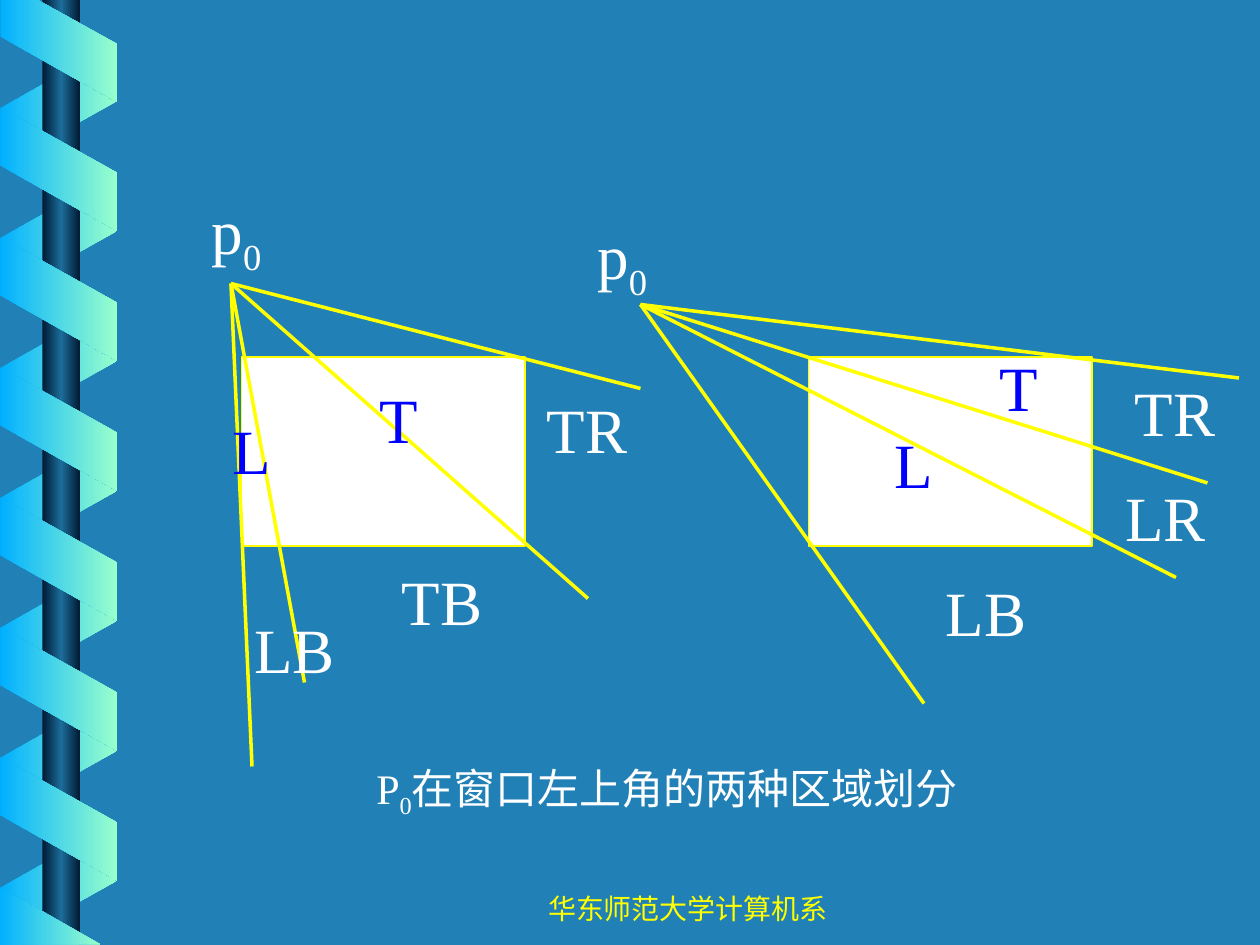
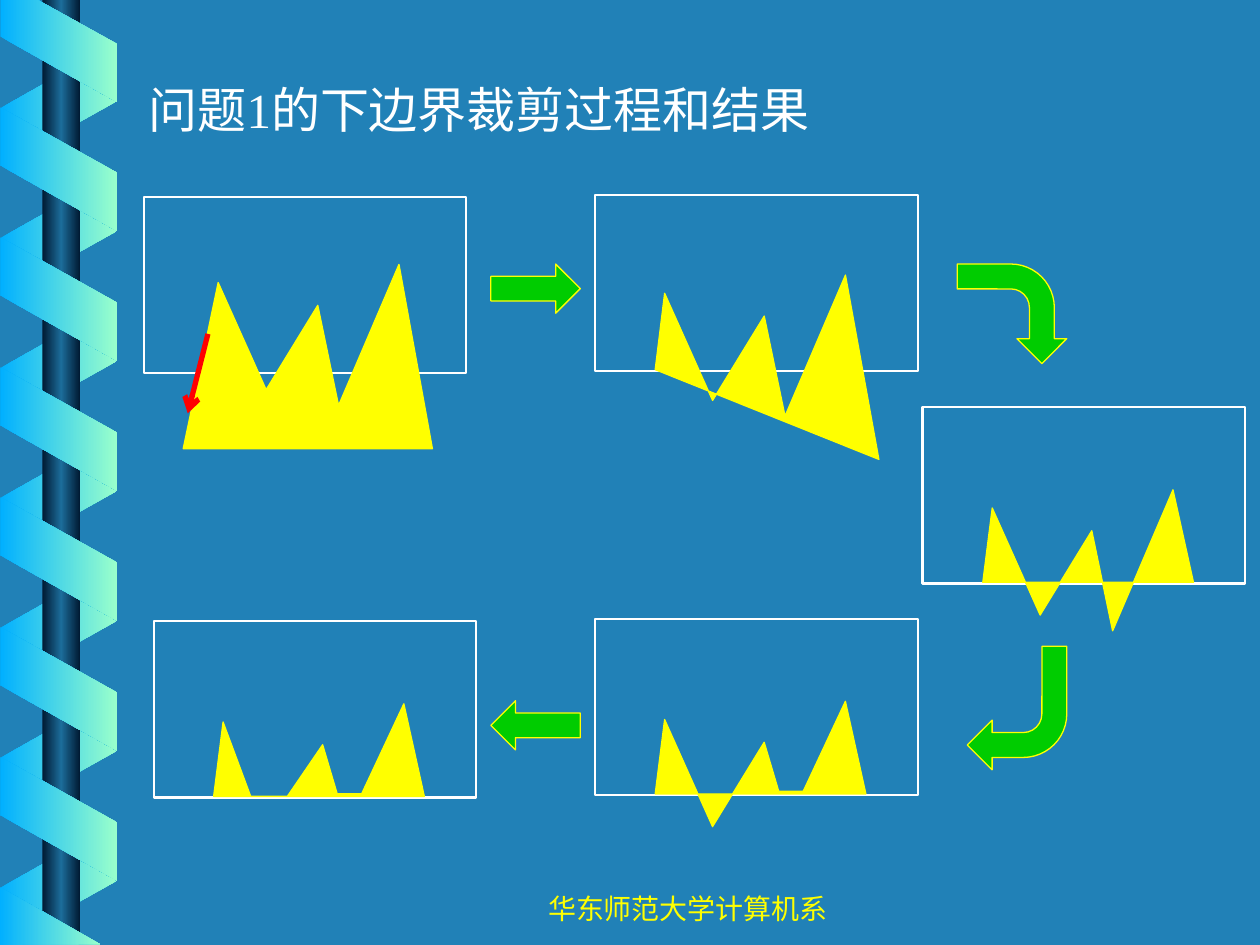
import copy
from dataclasses import dataclass

import pptx
import pptx.dml.color
import pptx.enum.shapes
import pptx.enum.text
import pptx.oxml
import pptx.oxml.ns
import pptx.util

Pt = pptx.util.Pt
MSO = pptx.enum.shapes.MSO_SHAPE
qn = pptx.oxml.ns.qn


@dataclass(frozen=True)
class Theme:
    background: str = "2181B7"
    white: str = "FFFFFF"
    yellow: str = "FFFF00"
    blue: str = "0000FF"
    green: str = "00CC00"
    red: str = "FF0000"
    ribbon: tuple = ("01B0FF", "99FFCC")
    pole: tuple = ("001932", "1C6D9A", "001932")
    latin: str = "Times New Roman"
    cjk: str = "Noto Sans CJK SC"
    footer: int = 16
    caption: int = 24
    title: int = 28
    label: int = 36


T = Theme()


def rgb(value):
    return pptx.dml.color.RGBColor.from_string(value)


def write(tf, text, size, color=T.white, font=T.latin, align="LEFT", wrap=False):
    tf.word_wrap = wrap
    tf.vertical_anchor = pptx.enum.text.MSO_ANCHOR.TOP
    if not wrap:
        tf.auto_size = pptx.enum.text.MSO_AUTO_SIZE.SHAPE_TO_FIT_TEXT
    p = tf.paragraphs[0]
    p.alignment = getattr(pptx.enum.text.PP_ALIGN, align)
    for i, part in enumerate(text.split("_")):
        r = p.add_run()
        r.text = part
        r.font.size = Pt(size)
        r.font.color.rgb = rgb(color)
        r.font.name = font
        rpr = r.font._element
        rpr.find(qn("a:latin")).addnext(
            rpr.makeelement(qn("a:ea"), {"typeface": T.cjk}))
        if i % 2:
            rpr.set("baseline", "-25000")


class Deck:
    def __init__(self):
        self.prs = pptx.Presentation()
        self.prs.slide_width, self.prs.slide_height = Pt(720), Pt(540)
        fill = self.prs.slide_master.background.fill
        fill.solid()
        fill.fore_color.rgb = rgb(T.background)
        self.s = None

    def slide(self, title=None):
        layout = self.prs.slide_layouts[5 if title else 6]
        self.s = self.prs.slides.add_slide(layout)
        self.text(240, 505.8, 306, 22.3, "华东师范大学计算机系", T.footer,
                  color=T.yellow, font=T.cjk, align="CENTER", wrap=True)
        if title:
            sp = self.s.shapes.title
            sp.left, sp.top, sp.width, sp.height = Pt(77.8), Pt(41.8), Pt(405.4), Pt(41)
            write(sp.text_frame, title, T.title)

    def text(self, x, y, w, h, text, size, **fmt):
        tb = self.s.shapes.add_textbox(Pt(x), Pt(y), Pt(w), Pt(h))
        write(tb.text_frame, text, size, **fmt)

    def paint(self, sp, fill=None, line=None, width=0.75):
        sp.shadow.inherit = False
        if fill is None:
            sp.fill.background()
        elif isinstance(fill, tuple):
            sp.fill.gradient()
            sp.fill.gradient_angle = 0
            stops = sp.element.find(".//" + qn("a:gsLst"))
            for _ in fill[2:]:
                stops.append(copy.deepcopy(stops[0]))
            for i, (stop, color) in enumerate(zip(sp.fill.gradient_stops, fill)):
                stop.color.rgb = rgb(color)
                stop.position = i / (len(fill) - 1)
        else:
            sp.fill.solid()
            sp.fill.fore_color.rgb = rgb(fill)
        if line:
            sp.line.color.rgb = rgb(line)
            sp.line.width = Pt(width)
        else:
            sp.line.fill.background()
        return sp

    def shape(self, kind, x, y, w, h, rotation=0, **style):
        sp = self.s.shapes.add_shape(kind, Pt(x), Pt(y), Pt(w), Pt(h))
        sp.rotation = rotation
        return self.paint(sp, **style)

    def polygon(self, points, **style):
        points = [(Pt(x), Pt(y)) for x, y in points]
        fb = self.s.shapes.build_freeform(*points[0])
        fb.add_line_segments(points[1:], close=True)
        return self.paint(fb.convert_to_shape(), **style)

    def line(self, start, end, color, width, arrow=False):
        c = self.s.shapes.add_connector(
            pptx.enum.shapes.MSO_CONNECTOR.STRAIGHT,
            *(Pt(v) for v in (*start, *end)))
        c.line.color.rgb = rgb(color)
        c.line.width = Pt(width)
        sppr = c.element.spPr
        if arrow:
            ln = sppr.find(qn("a:ln"))
            ln.append(ln.makeelement(qn("a:tailEnd"), {"type": "arrow"}))
        sppr.append(sppr.makeelement(qn("a:effectLst"), {}))

    def ribbon(self):
        left, right, step = 0.3, 66.9, 74.25
        drop, band = 37.4, 33.2

        def strip(left_top, right_top):
            return self.polygon(
                [(left, left_top), (right, right_top),
                 (right, right_top + band), (left, left_top + band)], fill=T.ribbon)

        parts = [strip(24.4 + drop + i * step, 24.4 + i * step) for i in range(7)]
        parts.append(self.shape(MSO.RECTANGLE, 24.2, 0, 21.6, 540, fill=T.pole))
        parts += [strip(61.4 + i * step, 61.4 + drop + i * step) for i in range(6)]
        for clipped in ([(left, 0), (left, 20.9), (right, 58.3), (right, 25.2), (21.6, 0)],
                        [(0, 507), (57, 539.5), (0, 540)]):
            parts.append(self.polygon(clipped, fill=T.ribbon))
        for number, sp in enumerate(parts, 100):
            sp.element.nvSpPr.cNvPr.set("id", str(number))
            self.prs.slide_master.shapes.element.append(sp.element)


def region_slide(d):
    d.slide()
    d.ribbon()
    d.text(208, 432, 380, 40.3, "P_0_在窗口左上角的两种区域划分", T.caption, wrap=True)
    for x in (138, 462):
        d.shape(MSO.RECTANGLE, x, 204, 162, 108, fill=T.white, line=T.yellow)
    fans = {
        (132, 162): [(336, 342), (174, 390), (144, 438), (366, 222)],
        (366, 174): [(672, 330), (528, 402), (690, 276), (708, 216)],
    }
    for p0, ends in fans.items():
        for end in ends:
            d.line(p0, end, T.yellow, 2)
    for x, y in ((113.8, 105.8), (334.2, 120.2)):
        d.text(x, y, 54, 57, "p_0", T.label, wrap=True)
    labels = [
        ("T", 210, 213.8), ("TR", 305.3, 219.6), ("TB", 222.5, 318.2),
        ("LB", 138.2, 345.6), ("L", 126, 231.8), ("TR", 641.5, 210.2),
        ("LB", 533.5, 324), ("L", 504, 239.8), ("T", 563.8, 195.8),
        ("LR", 635.8, 270),
    ]
    for text, x, y in labels:
        inside = len(text) == 1
        d.text(x, y, 36 if inside else 60.5, 50.4, text, T.label,
               color=T.blue if inside else T.white)


def clipping_slide(d):
    d.slide("问题1的下边界裁剪过程和结果")
    peak1, peak2, peak3 = (39.6, 57.6), (96.5, 70.6), (142.9, 47.2)
    dip1, dip2 = (67, 118.8), (108.4, 127.8)
    foot_left, foot_right = (19.6, 152.5), (162, 152.5)
    cut_left, cut_right = (34.2, 100.1), (154.6, 100.1)
    cut1 = [(55.4, 100.1), (76.3, 100.1)]
    cut2 = [(104.8, 98.6), (118.8, 98.6)]
    ridge = [peak1, dip1, peak2, dip2, peak3]
    stages = [
        (82.1, 112.5, 3, -8.6, [*ridge, foot_right, foot_left]),
        (340.2, 111.4, 0, -1.4, [*ridge, foot_right, (34.2, 101.2)]),
        (527.2, 232.7, 0.2, 0, [*ridge, cut_right, cut_left]),
        (340.2, 353.6, 0, 0, [peak1, dip1, peak2, *cut2, peak3, cut_right, cut_left]),
        (87.9, 355, 0, 0, [peak1, *cut1, peak2, *cut2, peak3, cut_right, cut_left]),
    ]
    for x, y, dx, dy, outline in stages:
        d.shape(MSO.RECTANGLE, x, y, 184.3, 100.8, line=T.white, width=1.25)
        d.polygon([(x + dx + px, y + dy + py) for px, py in outline],
                  fill=T.yellow, line=T.yellow)
    arrows = [
        (MSO.RIGHT_ARROW, 280.5, 150.9, 51.1, 28.1, 0),
        (MSO.BENT_ARROW, 549.8, 148, 56.9, 62.6, 90),
        (MSO.BENT_ARROW, 552.7, 369.3, 56.9, 70.6, 180),
        (MSO.RIGHT_ARROW, 280.5, 400.4, 51.1, 28.1, 180),
    ]
    for kind, x, y, w, h, rotation in arrows:
        d.shape(kind, x, y, w, h, rotation, fill=T.green, line=T.yellow)
    d.line((118.8, 190.8), (107.3, 236.2), T.red, 3, arrow=True)


def main():
    d = Deck()
    region_slide(d)
    clipping_slide(d)
    d.prs.save("out.pptx")


if __name__ == "__main__":
    main()
